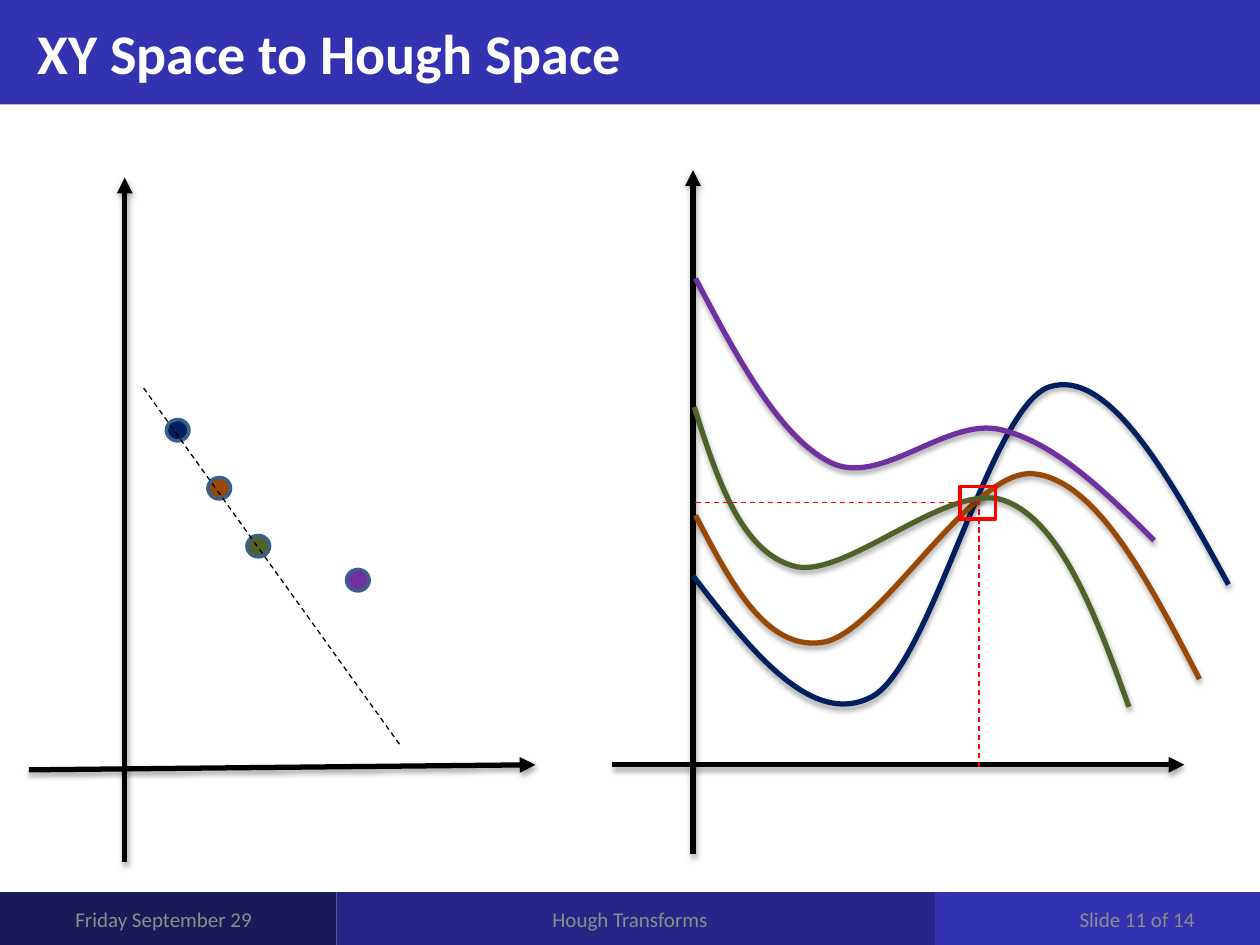
from lxml.etree import SubElement
from pptx import Presentation
from pptx.dml.color import RGBColor
from pptx.enum.dml import MSO_LINE
from pptx.enum.shapes import MSO_CONNECTOR, MSO_SHAPE
from pptx.enum.text import MSO_ANCHOR, PP_ALIGN
from pptx.oxml.ns import qn
from pptx.util import Inches, Pt

HUES = {
    "band": "3333B2", "mid": "262686", "dark": "1A1A59", "white": "FFFFFF",
    "grey": "8C8C8C", "black": "000000", "red": "FF0000", "rim": "3A5F8C",
    "navy": "002060", "brown": "984807", "green": "4F6228", "purple": "7030A0",
}
CELL = Inches(10) // 1000  # the slide is a grid of 1000 columns by 750 rows

deck = Presentation()
deck.slide_width, deck.slide_height = 1000 * CELL, 750 * CELL
slide = deck.slides.add_slide(deck.slide_layouts[5])
shapes = slide.shapes


def hue(name):
    return RGBColor.from_string(HUES[name])


def place(box, x, y):
    """Turn columns and rows inside a box into slide lengths."""
    return (box[0] + x) * CELL, (box[1] + y) * CELL


def add(kind, box, x, y, wide, high, fill=None, rim=None):
    shape = shapes.add_shape(kind, *place(box, x, y), wide * CELL, high * CELL)
    shape.shadow.inherit = False
    if fill:
        shape.fill.solid()
        shape.fill.fore_color.rgb = hue(fill)
    else:
        shape.fill.background()
    if rim:
        shape.line.color.rgb = hue(rim)
        shape.line.width = Pt(2)
    else:
        shape.line.fill.background()
    return shape


def style(text, size, color, align, bold=False):
    para = text.paragraphs[0]
    para.alignment = align
    font = para.font
    font.name, font.size, font.bold = "Calibri", Pt(size), bold
    font.color.rgb = hue(color)
    text.vertical_anchor = MSO_ANCHOR.MIDDLE
    text.word_wrap = True


def shade(shape, drop):
    """Give an outline a soft drop shadow, or none at all."""
    props = shape._element.spPr
    for old in props.findall(qn("a:effectLst")):
        props.remove(old)
    effect = SubElement(props, qn("a:effectLst"))
    if drop:
        cast = SubElement(effect, qn("a:outerShdw"), blurRad="40000",
                          dist="23000", dir="5400000", rotWithShape="0")
        tint = SubElement(cast, qn("a:srgbClr"), val=HUES["black"])
        SubElement(tint, qn("a:alpha"), val="35000")


def draw(box, start, end, color, width):
    line = shapes.add_connector(MSO_CONNECTOR.STRAIGHT,
                                *place(box, *start), *place(box, *end))
    line.line.color.rgb = hue(color)
    line.line.width = Pt(width)
    return line


def axis(box, start, end):
    line = draw(box, start, end, "black", 3)
    SubElement(line.line._get_or_add_ln(), qn("a:tailEnd"), type="triangle")
    shade(line, True)


def dash(box, start, end, color):
    line = draw(box, start, end, color, 0.75)
    line.line.dash_style = MSO_LINE.DASH
    shade(line, False)


def curve(box, color, points):
    """Draw cubic curves; every third point is an anchor."""
    knots = points[::3]
    left, top = (min(axis) for axis in zip(*knots))
    pen = shapes.build_freeform(*knots[0], scale=CELL)
    pen.add_line_segments(knots[1:], close=False)
    shape = pen.convert_to_shape(*place(box, 0, 0))
    shape.fill.background()
    shape.line.color.rgb = hue(color)
    shape.line.width = Pt(3)
    # Bend each straight segment with its two control points
    for n, part in enumerate(list(shape._element.iter(qn("a:lnTo")))):
        part.tag, bend = qn("a:lnTo"), part.makeelement(qn("a:cubicBezTo"))
        for x, y in points[3 * n + 1:3 * n + 4]:
            SubElement(bend, qn("a:pt"), x=str(x - left), y=str(y - top))
        part.getparent().replace(part, bend)
    shade(shape, True)


def head(box, wide, high):
    add(MSO_SHAPE.RECTANGLE, box, 0, 0, wide, high, "band")
    title = shapes.title
    title.left, title.top = place(box, 0, 0)
    title.width, title.height = (wide - 25) * CELL, high * CELL
    title.text_frame.text = "XY Space to Hough Space"
    style(title.text_frame, 32, "white", PP_ALIGN.LEFT, True)
    title.text_frame.paragraphs[0]._p.get_or_add_pPr().set("marL", str(20 * CELL))
    title._element.getparent().append(title._element)  # in front of the band


def foot(box, high):
    parts = [
        (0, 267, "dark", 50, 200, "Friday September 29", PP_ALIGN.LEFT),
        (267, 475, "mid", 275, 450, "Hough Transforms", PP_ALIGN.CENTER),
        (742, 258, "band", 758, 200, "Slide 11 of 14", PP_ALIGN.RIGHT),
    ]
    for x, wide, fill, inset, span, words, align in parts:
        add(MSO_SHAPE.RECTANGLE, box, x, 0, wide, high, fill)
        label = shapes.add_textbox(*place(box, inset, 5), span * CELL, 33 * CELL)
        label.text_frame.text = words
        style(label.text_frame, 12, "grey", align)


def points(box):
    """XY space: four dots, three of them on one line."""
    axis(box, (99, 601), (99, 58))
    axis(box, (23, 528), (425, 524))
    dots = {"navy": (132, 250), "brown": (165, 296),
            "green": (196, 342), "purple": (275, 369)}
    for color, spot in dots.items():
        add(MSO_SHAPE.OVAL, box, *spot, 18, 17, color, "rim")
    dash(box, (114, 225), (318, 509), "black")


def waves(box):
    """Hough space: one curve per dot, with the crossing marked."""
    axis(box, (50, 595), (50, 52))
    axis(box, (-14, 524), (440, 524))
    curves = {
        "navy": [(50, 374), (97, 435), (145, 495), (192, 470), (239, 445),
                 (286, 239), (333, 224), (380, 209), (428, 295), (475, 381)],
        "brown": [(52, 326), (80, 380), (108, 433), (152, 427), (197, 422),
                  (270, 289), (320, 293), (370, 298), (411, 377), (452, 456)],
        "green": [(51, 240), (69, 297), (88, 354), (129, 366), (170, 379),
                  (254, 296), (299, 315), (343, 333), (370, 406), (396, 478)],
        "purple": [(52, 138), (85, 201), (119, 264), (159, 284), (199, 304),
                   (251, 248), (294, 258), (337, 268), (377, 307), (416, 346)],
    }
    for color, track in curves.items():
        curve(box, color, track)
    dash(box, (277, 526), (277, 316), "red")
    dash(box, (52, 316), (276, 316), "red")
    add(MSO_SHAPE.RECTANGLE, box, 262, 303, 28, 26, rim="red")


head((0, 0), 1000, 83)
foot((0, 708), 42)
points((0, 83))
waves((500, 83))
deck.save("out.pptx")
